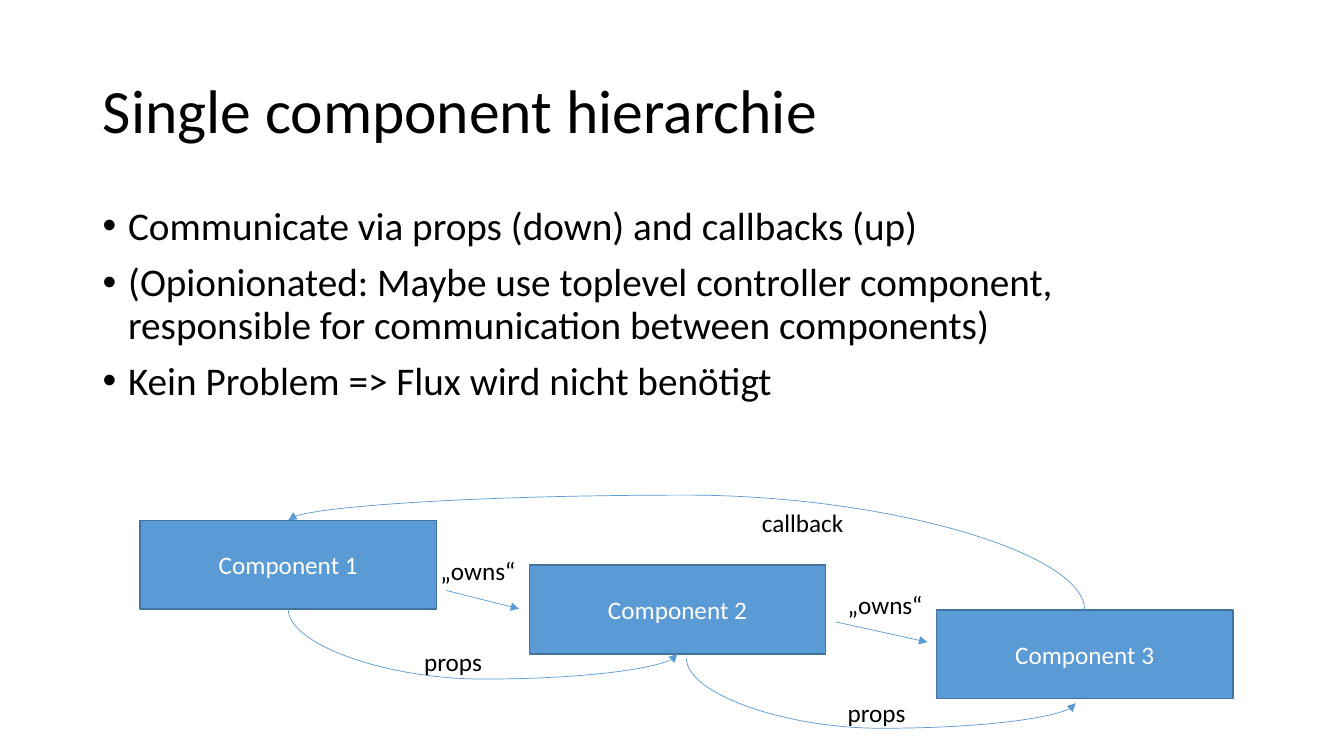
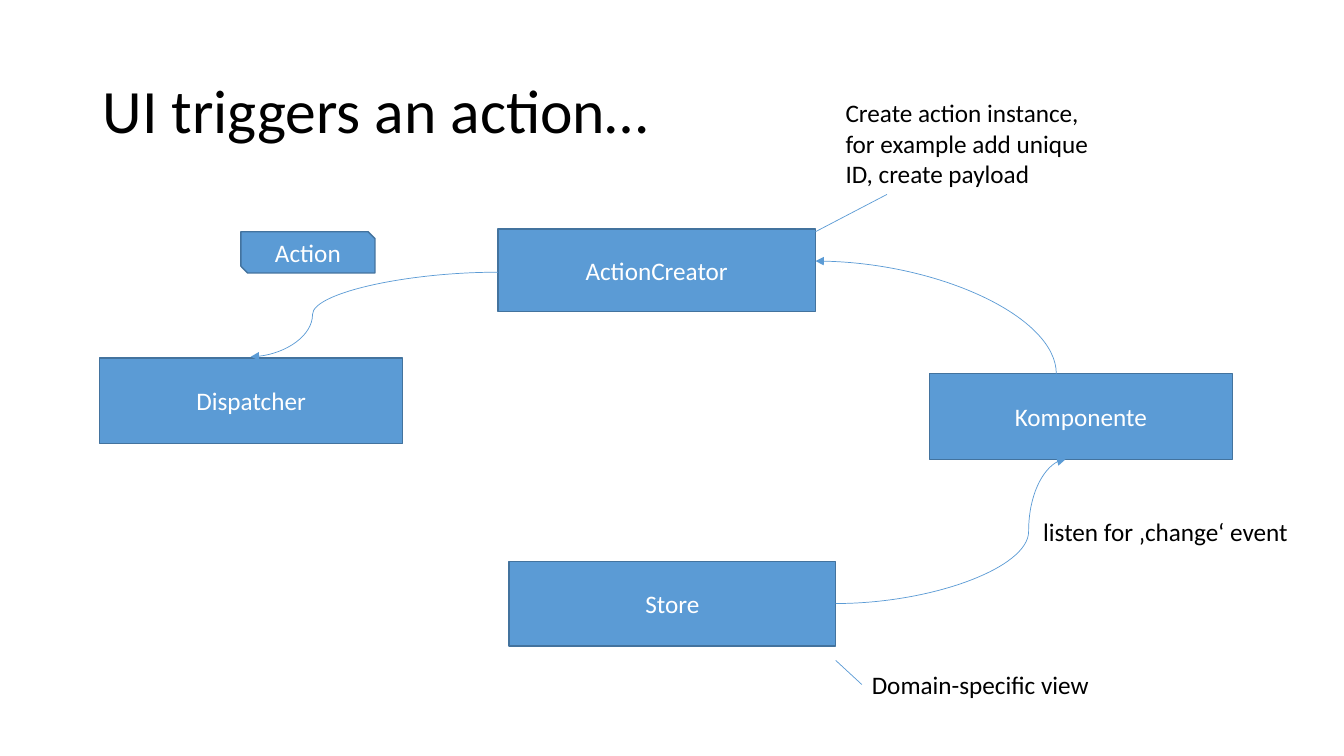
from dataclasses import dataclass

from lxml.etree import SubElement
from pptx import Presentation
from pptx.dml.color import RGBColor
from pptx.enum.shapes import MSO_CONNECTOR, MSO_SHAPE
from pptx.enum.text import MSO_ANCHOR, MSO_AUTO_SIZE, PP_ALIGN
from pptx.oxml.ns import qn
from pptx.util import Cm, Pt


@dataclass(frozen=True)
class Theme:
    font: str = "Calibri"
    text: RGBColor = RGBColor(0x00, 0x00, 0x00)
    box_text: RGBColor = RGBColor(0xFF, 0xFF, 0xFF)
    accent: RGBColor = RGBColor(0x5B, 0x9B, 0xD5)
    outline: RGBColor = RGBColor(0x43, 0x73, 0x9E)
    title_size: int = 44
    body_size: int = 28
    label_size: int = 18
    outline_width: float = 1
    connector_width: float = 0.5


@dataclass(frozen=True)
class Box:
    left: float
    top: float
    width: float
    height: float

    def inner(self, left, top, width, height):
        return Box(self.left + left, self.top + top, width, height)

    def point(self, position):
        return self.left + position[0], self.top + position[1]

    def lengths(self):
        return Cm(self.left), Cm(self.top), Cm(self.width), Cm(self.height)


THEME = Theme()
PAGE = Box(0, 0, 33.87, 19.05)
TITLE = Box(2.34, 1.02, 29.21, 3.68)
BODY = Box(2.34, 5.08, 29.21, 12.09)
HIERARCHY = Box(3.53, 13.11, 27.54, 5.4)
ACTION_FLOW = Box(2.51, 2.34, 30.3, 15.42)


def add_run(paragraph, text, size, color):
    run = paragraph.add_run()
    run.text = text
    run.font.name = THEME.font
    run.font.size = Pt(size)
    run.font.color.rgb = color


def add_text(slide, box, lines, size, wrap=True):
    frame = slide.shapes.add_textbox(*box.lengths()).text_frame
    frame.word_wrap = wrap
    for index, line in enumerate(lines):
        paragraph = frame.paragraphs[0] if index == 0 else frame.add_paragraph()
        add_run(paragraph, line, size, THEME.text)
    return frame


def add_title(slide, box, text):
    frame = add_text(slide, box, [text], THEME.title_size)
    frame.vertical_anchor = MSO_ANCHOR.MIDDLE
    frame.paragraphs[0].line_spacing = 0.9


def add_bullets(slide, box, lines):
    frame = add_text(slide, box, lines, THEME.body_size)
    for paragraph in frame.paragraphs:
        paragraph.line_spacing = 0.9
        paragraph.space_before = Pt(10)
        properties = paragraph._p.get_or_add_pPr()
        properties.set("marL", str(Cm(0.64)))
        properties.set("indent", str(-Cm(0.64)))
        SubElement(properties, qn("a:buFont")).set("typeface", "Arial")
        SubElement(properties, qn("a:buChar")).set("char", "•")


def add_label(slide, box, *lines, wrap=False):
    frame = add_text(slide, box, lines, THEME.label_size, wrap)
    frame.auto_size = MSO_AUTO_SIZE.SHAPE_TO_FIT_TEXT


def add_node(slide, box, text, preset=MSO_SHAPE.RECTANGLE):
    shape = slide.shapes.add_shape(preset, *box.lengths())
    shape.shadow.inherit = False
    shape.fill.solid()
    shape.fill.fore_color.rgb = THEME.accent
    shape.line.color.rgb = THEME.outline
    shape.line.width = Pt(THEME.outline_width)
    frame = shape.text_frame
    frame.word_wrap = True
    frame.vertical_anchor = MSO_ANCHOR.MIDDLE
    paragraph = frame.paragraphs[0]
    paragraph.alignment = PP_ALIGN.CENTER
    add_run(paragraph, text, THEME.label_size, THEME.box_text)


def add_link(slide, start, end, kind=MSO_CONNECTOR.STRAIGHT, arrow=True):
    connector = slide.shapes.add_connector(kind, *map(Cm, start + end))
    connector.line.color.rgb = THEME.accent
    connector.line.width = Pt(THEME.connector_width)
    if arrow:
        line = connector.line._get_or_add_ln()
        SubElement(line, qn("a:tailEnd")).set("type", "triangle")
    SubElement(connector._element.spPr, qn("a:effectLst"))
    return connector


def add_curve(slide, start, end, bend=None, upright=False):
    if upright:
        center_x, center_y = (start[0] + end[0]) / 2, (start[1] + end[1]) / 2
        half_x, half_y = (end[0] - start[0]) / 2, (end[1] - start[1]) / 2
        start = center_x + half_y, center_y - half_x
        end = center_x - half_y, center_y + half_x
    connector = add_link(slide, start, end, MSO_CONNECTOR.CURVE)
    properties = connector._element.spPr
    if upright:
        properties.find(qn("a:xfrm")).set("rot", str(270 * 60000))
    geometry = properties.find(qn("a:prstGeom"))
    if bend is None:
        geometry.set("prst", "curvedConnector2")
    else:
        adjustments = geometry.find(qn("a:avLst"))
        if adjustments is None:
            adjustments = SubElement(geometry, qn("a:avLst"))
        guide = SubElement(adjustments, qn("a:gd"))
        guide.set("name", "adj1")
        guide.set("fmla", f"val {round(bend * 100000)}")


def add_hierarchy(slide, box):
    width, height, drop = 7.47, 2.24, 1.13
    lefts = (0, 9.81, 20.07)
    for index, left in enumerate(lefts):
        node = box.inner(left, index * drop, width, height)
        add_node(slide, node, f"Component {index + 1}")

    for left, top in ((width / 2, height), (13.77, 3.48)):
        start = box.point((left, top))
        end = box.point((left + lefts[1], top + drop))
        add_curve(slide, start, end, 1.56, upright=True)
    for left, top in ((6.91, 3.04), (17.58, 4.34)):
        add_label(slide, box.inner(left, top, 1.98, 1.02), "props")

    callback_start = box.point((lefts[2] + width / 2, 2 * drop))
    add_curve(slide, callback_start, box.point((width / 2, 0)), 1.28, upright=True)
    add_label(slide, box.inner(15.42, -0.46, 2.59, 1.02), "callback")

    owns = (
        ((7.32, 0.76), (7.72, 1.77), (9.55, 2.23)),
        ((17.58, 1.62), (17.53, 2.56), (19.84, 3.07)),
    )
    for label, start, end in owns:
        add_label(slide, box.inner(*label, 2.59, 1.02), "„owns“", wrap=True)
        add_link(slide, box.point(start), box.point(end))


def add_action_flow(slide, box):
    nodes = (
        ("Komponente", 20.91, 7.08, 7.64, 2.16),
        ("ActionCreator", 10.04, 3.43, 8, 2.08),
        ("Dispatcher", 0, 6.68, 7.64, 2.16),
        ("Store", 10.32, 11.81, 8.23, 2.13),
    )
    for text, *place in nodes:
        add_node(slide, box.inner(*place), text)
    action = box.inner(3.56, 3.5, 3.38, 1.04)
    add_node(slide, action, "Action", MSO_SHAPE.SNIP_2_DIAG_RECTANGLE)

    curves = (
        ((24.11, 7.08), (18.04, 4.24), None, True),
        ((10.04, 4.52), (3.81, 6.65), 0.75, False),
        ((18.55, 12.87), (24.34, 9.24), 0.84, False),
    )
    for start, end, bend, upright in curves:
        add_curve(slide, box.point(start), box.point(end), bend, upright)

    note_lines = (
        ((19.84, 2.56), (18.04, 3.5)),
        ((19.21, 14.91), (18.55, 14.3)),
    )
    for start, end in note_lines:
        add_link(slide, box.point(start), box.point(end), arrow=False)

    add_label(
        slide,
        box.inner(18.55, 0, 6.71, 2.57),
        "Create action instance,",
        "for example add unique",
        "ID, create payload",
    )
    add_label(slide, box.inner(19.21, 14.4, 6.05, 1.02), "Domain-specific view")
    add_label(slide, box.inner(23.53, 10.54, 6.76, 1.02), "listen for ‚change‘ event")


def add_slide(presentation, title):
    slide = presentation.slides.add_slide(presentation.slide_layouts[6])
    add_title(slide, TITLE, title)
    return slide


def main():
    presentation = Presentation()
    presentation.slide_width = Cm(PAGE.width)
    presentation.slide_height = Cm(PAGE.height)

    slide = add_slide(presentation, "Single component hierarchie")
    add_bullets(slide, BODY, (
        "Communicate via props (down) and callbacks (up)",
        "(Opionionated: Maybe use toplevel controller component, "
        "responsible for communication between components)",
        "Kein Problem => Flux wird nicht benötigt",
    ))
    add_hierarchy(slide, HIERARCHY)

    slide = add_slide(presentation, "UI triggers an action…")
    add_action_flow(slide, ACTION_FLOW)

    presentation.save("out.pptx")


if __name__ == "__main__":
    main()
